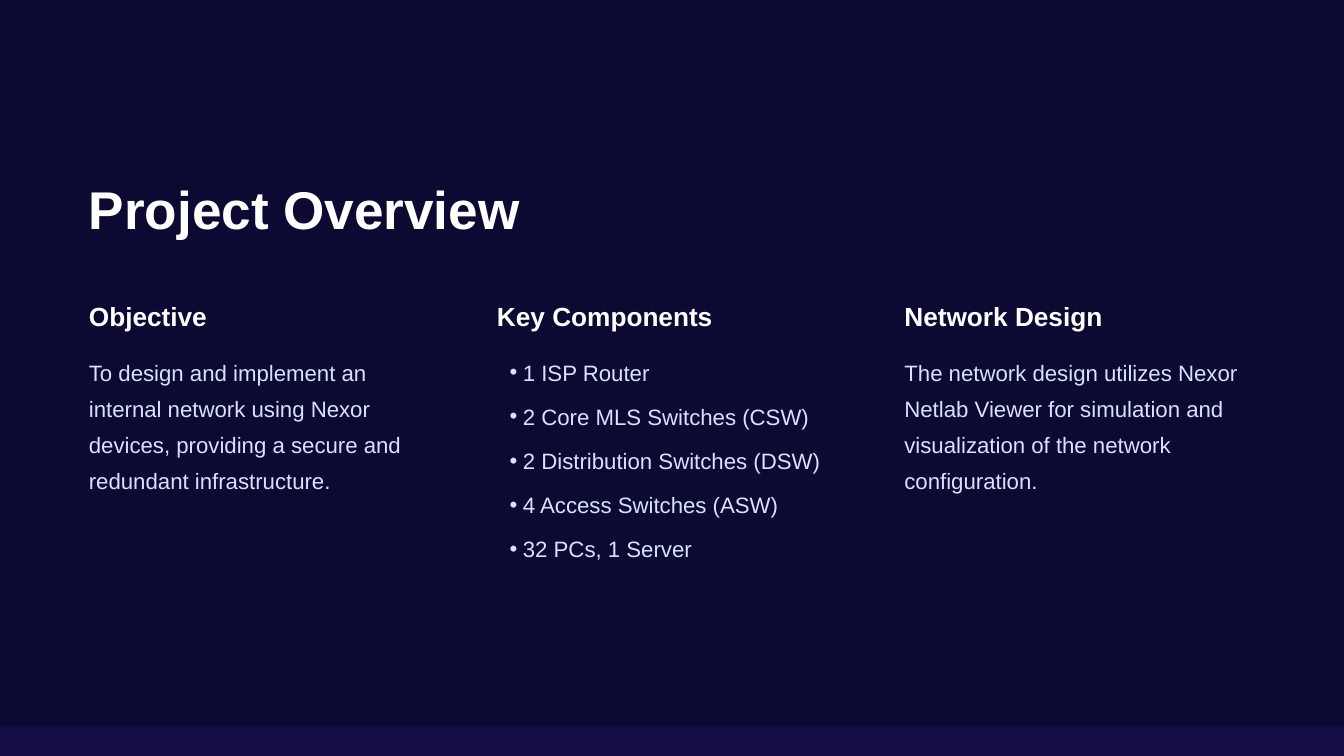
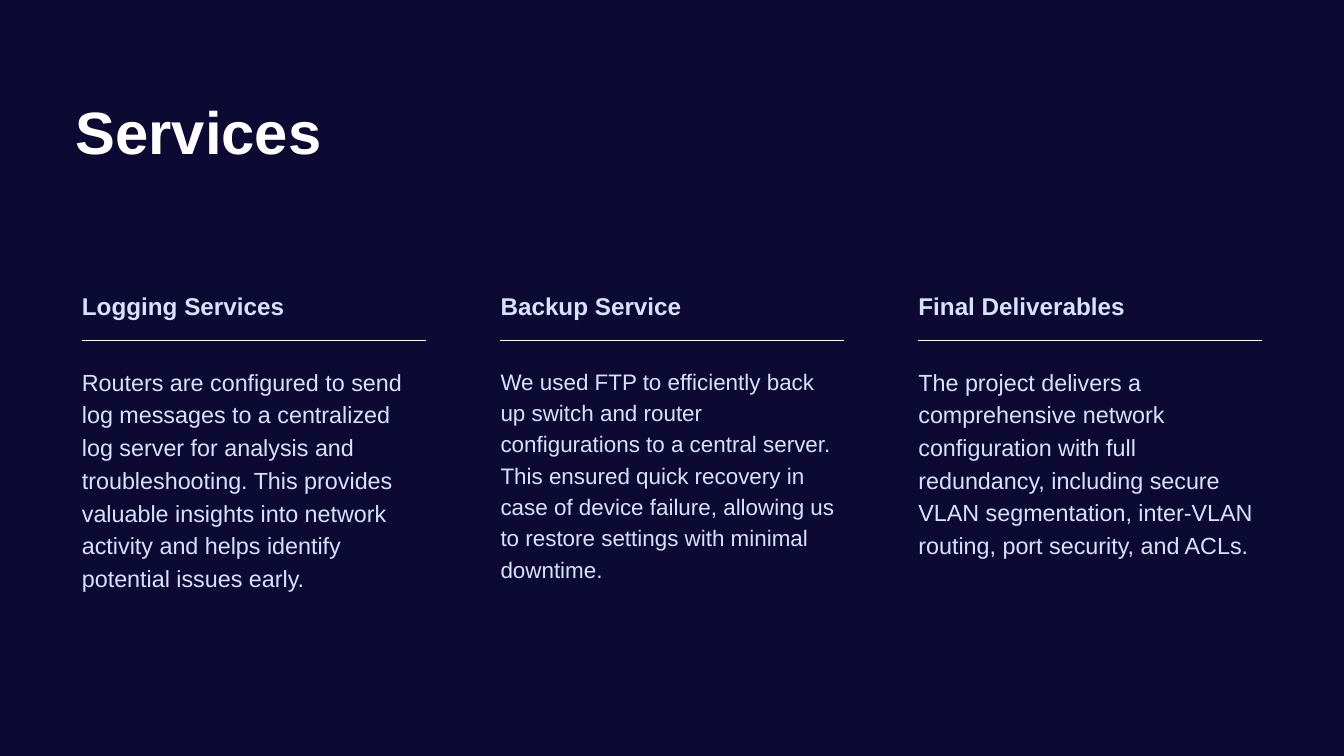
from lxml import etree
from pptx import Presentation
from pptx.dml.color import RGBColor
from pptx.enum.shapes import MSO_CONNECTOR, MSO_SHAPE
from pptx.oxml.ns import qn
from pptx.util import Emu, Pt

RECTANGLE = MSO_SHAPE.RECTANGLE
STRAIGHT = MSO_CONNECTOR.STRAIGHT

WIDTH, HEIGHT = 1920, 1080
FONT = "Arial"
NIGHT, INDIGO = "0C0A33", "150D48"
WHITE, LAVENDER = "FFFFFF", "D9E1FF"

# Text styles: size and line spacing in points
OVERVIEW_HEADING = dict(size=28.1, leading=35.6, color=WHITE, bold=True)
OVERVIEW_BODY = dict(size=23.8, leading=38.8, color=LAVENDER)
SERVICE_HEADING = dict(size=26, leading=36.4, color=LAVENDER, bold=True)

OVERVIEW = [
    ("Objective",
     ["To design and implement an internal network using Nexor devices, "
      "providing a secure and redundant infrastructure."]),
    ("Key Components",
     ["1 ISP Router", "2 Core MLS Switches (CSW)", "2 Distribution Switches (DSW)",
      "4 Access Switches (ASW)", "32 PCs, 1 Server"]),
    ("Network Design",
     ["The network design utilizes Nexor Netlab Viewer for simulation and "
      "visualization of the network configuration."]),
]

# Heading, body, body size, body height
SERVICES = [
    ("Logging Services",
     "Routers are configured to send log messages to a centralized log server for "
     "analysis and troubleshooting. This provides valuable insights into network "
     "activity and helps identify potential issues early.", 25, 320),
    ("Backup Service",
     "We used FTP to efficiently back up switch and router configurations to a "
     "central server. This ensured quick recovery in case of device failure, "
     "allowing us to restore settings with minimal downtime.", 24, 306),
    ("Final Deliverables",
     "The project delivers a comprehensive network configuration with full "
     "redundancy, including secure VLAN segmentation, inter-VLAN routing, port "
     "security, and ACLs.", 25, 274),
]


def px(n):
    return Emu(n * 9525)


def rgb(value):
    return RGBColor.from_string(value)


def column_left(first, last, i):
    """Left edge of column i of three, evenly spread from first to last."""
    return (first * (2 - i) + last * i + 1) // 2


def add_panel(slide, top, color):
    sp = slide.shapes.add_shape(RECTANGLE, 0, px(top), px(WIDTH), px(HEIGHT))
    sp.shadow.inherit = False
    sp.fill.solid()
    sp.fill.fore_color.rgb = rgb(color)
    sp.line.fill.background()


def add_slide(prs, band=0):
    """Night panel over an indigo base, which shows as a band at the bottom."""
    slide = prs.slides.add_slide(prs.slide_layouts[6])
    fill = slide.background.fill
    fill.solid()
    fill.fore_color.rgb = rgb(NIGHT)
    add_panel(slide, 0, INDIGO)
    add_panel(slide, -band, NIGHT)
    return slide


def add_rule(slide, left, top, width):
    line = slide.shapes.add_connector(STRAIGHT, px(left), px(top), px(left + width), px(top))
    line.line.color.rgb = rgb(WHITE)
    line.line.width = Pt(1)
    etree.SubElement(line._element.spPr, qn("a:effectLst"))


def set_bullet(p):
    pPr = p._p.get_or_add_pPr()
    pPr.set("marL", str(px(37)))
    pPr.set("indent", str(px(-19)))
    etree.SubElement(pPr, qn("a:buFont"), typeface=FONT)
    etree.SubElement(pPr, qn("a:buChar"), char="•")


def add_text(slide, lines, left, top, width, height, *, size, leading, color,
             bold=False, bullets=False, gap=0):
    tf = slide.shapes.add_textbox(px(left), px(top), px(width), px(height)).text_frame
    tf.word_wrap = True
    tf.margin_left = tf.margin_top = tf.margin_right = tf.margin_bottom = 0
    for i, text in enumerate(lines):
        p = tf.paragraphs[0] if i == 0 else tf.add_paragraph()
        if bullets:
            set_bullet(p)
        p.line_spacing = Pt(leading)
        if i:
            p.space_before = Pt(gap)
        r = p.add_run()
        r.text = text
        r.font.name = FONT
        r.font.size = Pt(size)
        r.font.bold = bold
        r.font.color.rgb = rgb(color)


def add_title(slide, text, left, top, width, height, size, leading):
    add_text(slide, [text], left, top, width, height,
             size=size, leading=leading, color=WHITE, bold=True)


def build_overview(prs):
    slide = add_slide(prs, band=42)
    add_title(slide, "Project Overview", 127, 248, 762, 96, 56.9, 71.2)
    for i, (heading, lines) in enumerate(OVERVIEW):
        left = column_left(127, 1292, i)
        is_list = len(lines) > 1
        add_text(slide, [heading], left, 426, 381, 52, **OVERVIEW_HEADING)
        add_text(slide, lines, left, 499, 502, 315 if is_list else 218,
                 bullets=is_list, gap=8.6, **OVERVIEW_BODY)


def build_services(prs):
    slide = add_slide(prs)
    add_title(slide, "Services", 108, 136, 1704, 105, 64, 76.8)
    for i, (heading, body, size, height) in enumerate(SERVICES):
        left = column_left(117, 1312, i)
        add_text(slide, [heading], left, 409, 491, 46, **SERVICE_HEADING)
        add_rule(slide, left, 486, 491)
        add_text(slide, [body], left, 519, 491, height,
                 size=size, leading=size * 1.4, color=LAVENDER)


def main():
    prs = Presentation()
    prs.slide_width, prs.slide_height = px(WIDTH), px(HEIGHT)
    build_overview(prs)
    build_services(prs)
    prs.save("out.pptx")


if __name__ == "__main__":
    main()
